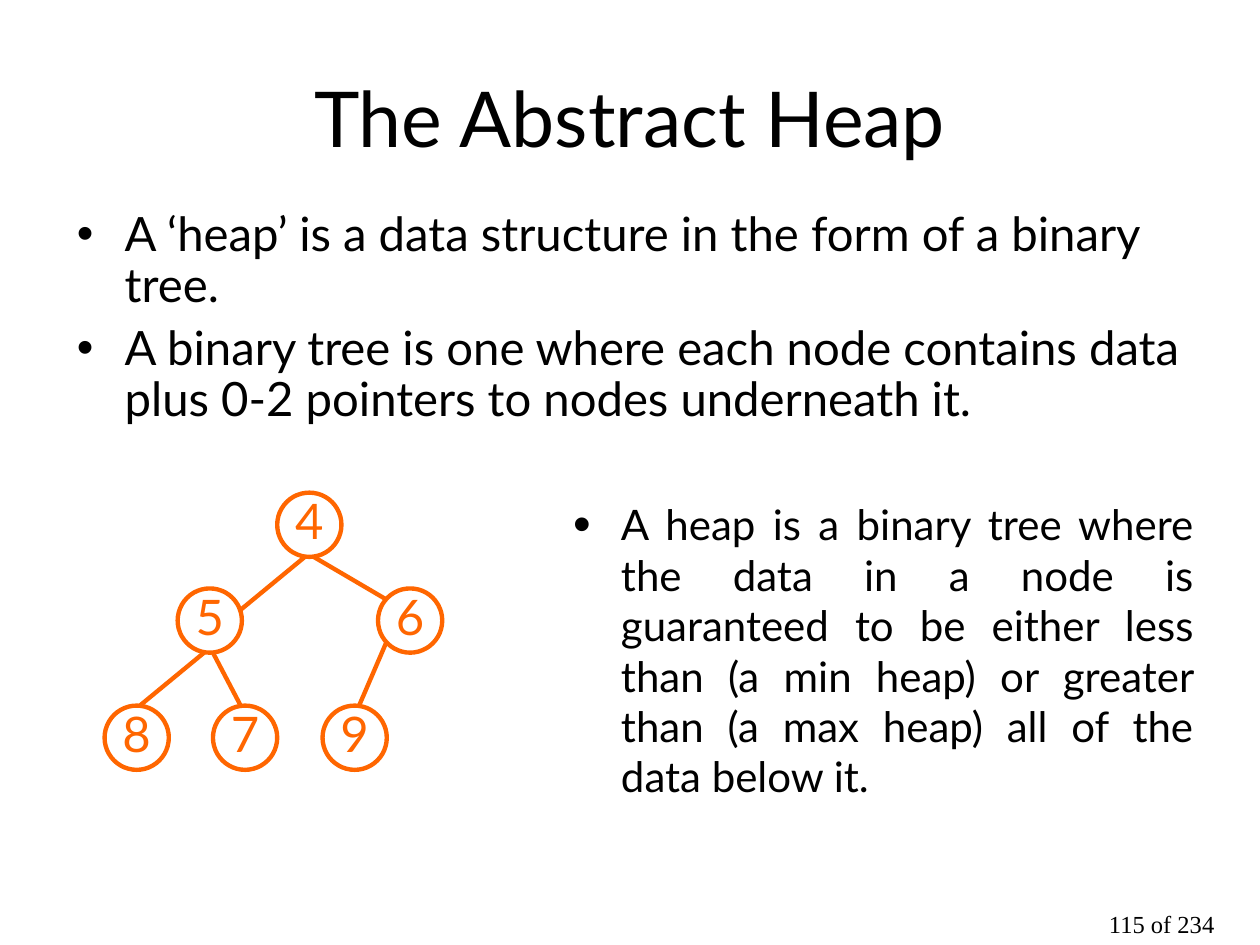
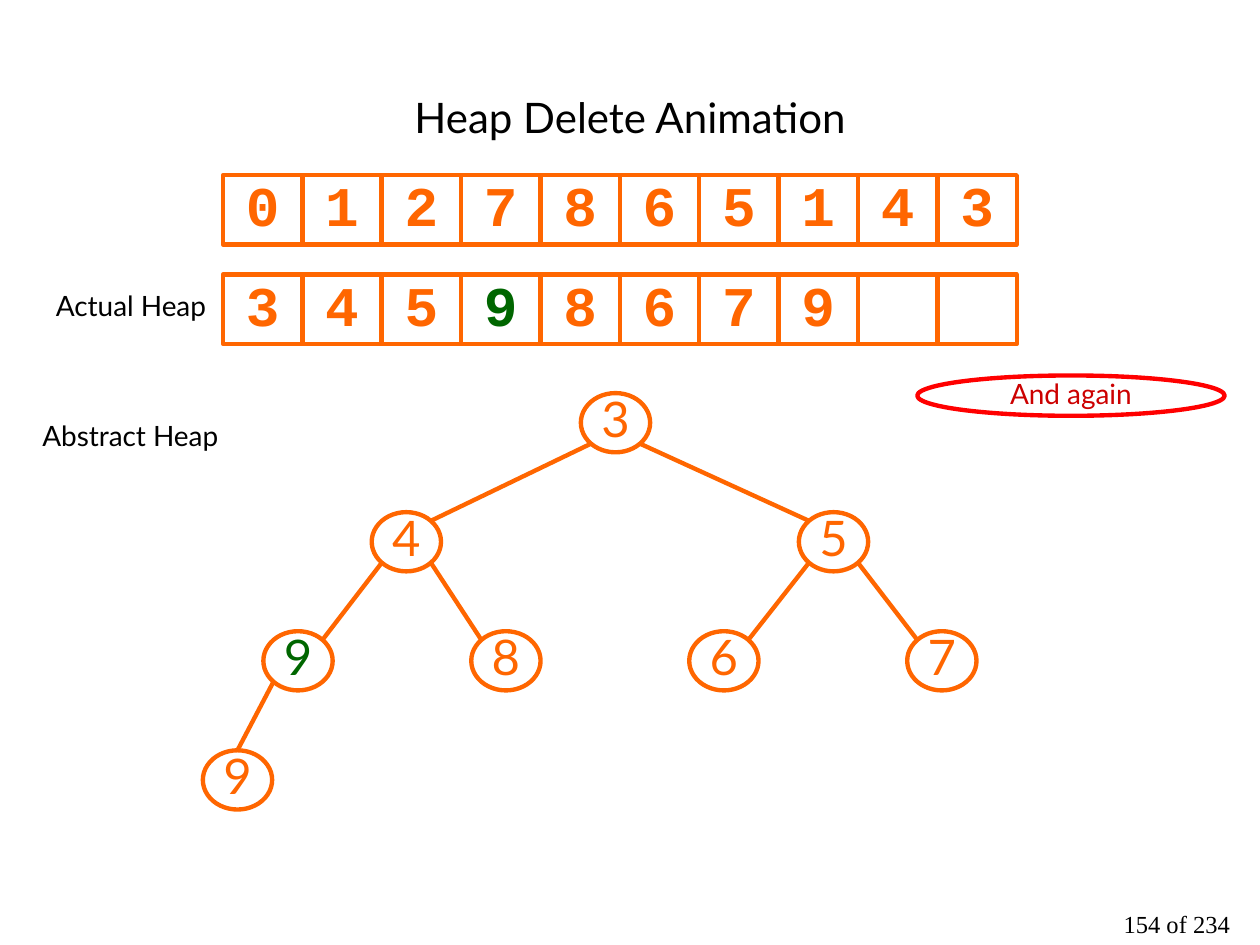
from lxml import etree
from pptx import Presentation
from pptx.dml.color import RGBColor
from pptx.enum.shapes import MSO_CONNECTOR, MSO_SHAPE
from pptx.enum.text import MSO_ANCHOR, MSO_AUTO_SIZE, PP_ALIGN
from pptx.oxml.ns import qn
from pptx.util import Inches, Pt

OVAL, RECT = MSO_SHAPE.OVAL, MSO_SHAPE.RECTANGLE
STRAIGHT = MSO_CONNECTOR.STRAIGHT
MIDDLE, TOP = MSO_ANCHOR.MIDDLE, MSO_ANCHOR.TOP
CENTER, LEFT, JUSTIFY = PP_ALIGN.CENTER, PP_ALIGN.LEFT, PP_ALIGN.JUSTIFY
NO_AUTOFIT = MSO_AUTO_SIZE.NONE

BLACK, ORANGE, GREEN = "000000", "FF6600", "006600"
RED, DARK_RED = "FF0000", "CC0000"
SANS, SERIF, MONO = "Lato", "Times New Roman", "Courier New"
LINE_WIDTH = 2.5
TOTAL_SLIDES = 234
CORNER = 0.354


def rgb(color):
    return RGBColor.from_string(color)


def place(sp, left, top, width, height):
    sp.left, sp.top = Inches(left), Inches(top)
    sp.width, sp.height = Inches(width), Inches(height)


def format_paragraph(p, size, color=BLACK, font=SANS, align=CENTER, spacing=1.0, bold=False):
    p.alignment = align
    p.line_spacing = spacing
    p.space_before = Pt(0)
    for r in p.runs:
        r.font.size = Pt(size)
        r.font.name = font
        r.font.bold = bold
        r.font.color.rgb = rgb(color)


def format_frame(tf, anchor=TOP, wrap=True, inset=(0.1, 0.05)):
    tf.auto_size = NO_AUTOFIT
    tf.word_wrap = wrap
    tf.vertical_anchor = anchor
    tf.margin_left = tf.margin_right = Inches(inset[0])
    tf.margin_top = tf.margin_bottom = Inches(inset[1])


def add_bullet(p, percent=100):
    pPr = p._p.get_or_add_pPr()
    pPr.set("marL", str(Inches(0.38)))
    pPr.set("indent", str(Inches(-0.38)))
    color = etree.SubElement(pPr, qn("a:buClr"))
    etree.SubElement(color, qn("a:srgbClr"), val=BLACK)
    etree.SubElement(pPr, qn("a:buSzPct"), val=str(percent * 1000))
    etree.SubElement(pPr, qn("a:buFont"), typeface="Arial")
    etree.SubElement(pPr, qn("a:buChar"), char="•")


def set_title(slide, text, size):
    sp = slide.shapes.title
    place(sp, 0.5, 0.3, 9, 1.25)
    sp.text_frame.text = text
    format_frame(sp.text_frame, MIDDLE)
    format_paragraph(sp.text_frame.paragraphs[0], size)


def set_body(slide, items):
    sp = slide.placeholders[1]
    place(sp, 0.51, 1.62, 8.98, 2.13)
    tf = sp.text_frame
    format_frame(tf)
    for i, item in enumerate(items):
        p = tf.add_paragraph() if i else tf.paragraphs[0]
        p.text = item
        add_bullet(p)
        format_paragraph(p, 27, align=LEFT, spacing=0.9)
        if i:
            p.space_before = Pt(6.8)


def add_text(slide, text, left, top, width, height, inset=(0.1, 0.05), wrap=True):
    sp = slide.shapes.add_textbox(Inches(left), Inches(top), Inches(width), Inches(height))
    format_frame(sp.text_frame, wrap=wrap, inset=inset)
    sp.text_frame.text = text
    return sp.text_frame.paragraphs[0]


def add_page_number(slide, number, left):
    p = add_text(slide, f"{number} of {TOTAL_SLIDES}", left, 7.22, 1.3, 0.28)
    format_paragraph(p, 14, font=SERIF, spacing=0.75)


def add_label(slide, text, left, top, width):
    p = add_text(slide, text, left, top, width, 0.23, inset=(0, 0), wrap=False)
    format_paragraph(p, 16, spacing=0.85)


def add_outlined(slide, kind, text, box, size, color=ORANGE, line=ORANGE,
                 font=SANS, bold=False, anchor=MIDDLE, wrap=True):
    sp = slide.shapes.add_shape(kind, *(Inches(v) for v in box))
    sp.shadow.inherit = False
    sp.fill.background()
    sp.line.color.rgb = rgb(line)
    sp.line.width = Pt(LINE_WIDTH)
    if text:
        format_frame(sp.text_frame, anchor, wrap, (0, 0))
        sp.text_frame.text = text
        format_paragraph(sp.text_frame.paragraphs[0], size, color, font,
                         spacing=0.85, bold=bold)


def add_node(slide, text, left, top, width, height, color=ORANGE):
    add_outlined(slide, OVAL, text, (left, top, width, height), 28, color, wrap=False)


def add_edge(slide, x1, y1, x2, y2):
    line = slide.shapes.add_connector(STRAIGHT, Inches(x1), Inches(y1), Inches(x2), Inches(y2))
    line.line.color.rgb = rgb(ORANGE)
    line.line.width = Pt(LINE_WIDTH)
    etree.SubElement(line._element.spPr, qn("a:effectLst"))


def add_array(slide, values, top, changed=None):
    width = 0.63
    for i, value in enumerate(values):
        color = GREEN if i == changed else ORANGE
        add_outlined(slide, RECT, value, (1.77 + i * width, top, width, 0.55), 32,
                     color, font=MONO, bold=True)


def build_abstract_heap(prs):
    slide = prs.slides.add_slide(prs.slide_layouts[1])
    set_title(slide, "The Abstract Heap", 44)
    set_body(slide, [
        "A ‘heap’ is a data structure in the form of a binary tree.",
        "A binary tree is one where each node contains data plus 0-2 pointers "
        "to nodes underneath it.",
    ])
    add_page_number(slide, 115, 8.57)

    nodes = [("4", 2.2, 3.91), ("5", 1.41, 4.67), ("6", 3, 4.67),
             ("8", 0.83, 5.6), ("7", 1.69, 5.6), ("9", 2.56, 5.6)]
    for text, left, top in nodes:
        add_node(slide, text, left, top, 0.51, 0.51)
    edges = [(1.91, 4.84, 2.42, 4.42), (3.07, 4.76, 2.49, 4.42),
             (1.11, 5.6, 1.62, 5.18), (2.85, 5.6, 3.07, 5.09),
             (1.91, 5.6, 1.69, 5.18)]
    for edge in edges:
        add_edge(slide, *edge)

    p = add_text(slide, "A heap is a binary tree where the data in a node is guaranteed "
                 "to be either less than (a min heap) or greater than (a max heap) "
                 "all of the data below it.", 4.45, 3.91, 5.12, 2.91)
    add_bullet(p, 120)
    format_paragraph(p, 24, align=JUSTIFY)


def build_heap_delete(prs):
    slide = prs.slides.add_slide(prs.slide_layouts[5])
    set_title(slide, "Heap Delete Animation", 24)
    add_page_number(slide, 154, 8.69)
    add_array(slide, "0127865143", 1.39)
    add_array(slide, [*"34598679", "", ""], 2.18, changed=3)
    add_label(slide, "Actual Heap", 0.41, 2.33, 1.26)
    add_label(slide, "Abstract Heap", 0.3, 3.36, 1.47)

    width, height = 0.55, 0.47
    heap = [("3", 4.61, 0), ("4", 2.95, 1), ("5", 6.34, 1), ("9", 2.09, 2),
            ("8", 3.74, 2), ("6", 5.47, 2), ("7", 7.2, 2), ("9", 1.61, 3)]
    centers = []
    for i, (text, left, level) in enumerate(heap):
        top = 3.12 + level * 0.945
        add_node(slide, text, left, top, width, height, GREEN if i == 3 else ORANGE)
        centers.append((left + width / 2, top + height / 2))
    for child in range(1, len(heap)):
        (px, py), (cx, cy) = centers[(child - 1) // 2], centers[child]
        dx = CORNER * width * (1 if cx > px else -1)
        dy = CORNER * height
        if child == len(heap) - 1:
            add_edge(slide, px + dx, py + dy, cx, cy - height / 2)
        else:
            add_edge(slide, px + dx, py + dy, cx - dx, cy - dy)

    add_outlined(slide, OVAL, "And again", (7.28, 2.98, 2.44, 0.32), 16, DARK_RED, RED)


def main():
    prs = Presentation()
    prs.slide_width, prs.slide_height = Inches(10), Inches(7.5)
    build_abstract_heap(prs)
    build_heap_delete(prs)
    prs.save("out.pptx")


if __name__ == "__main__":
    main()
